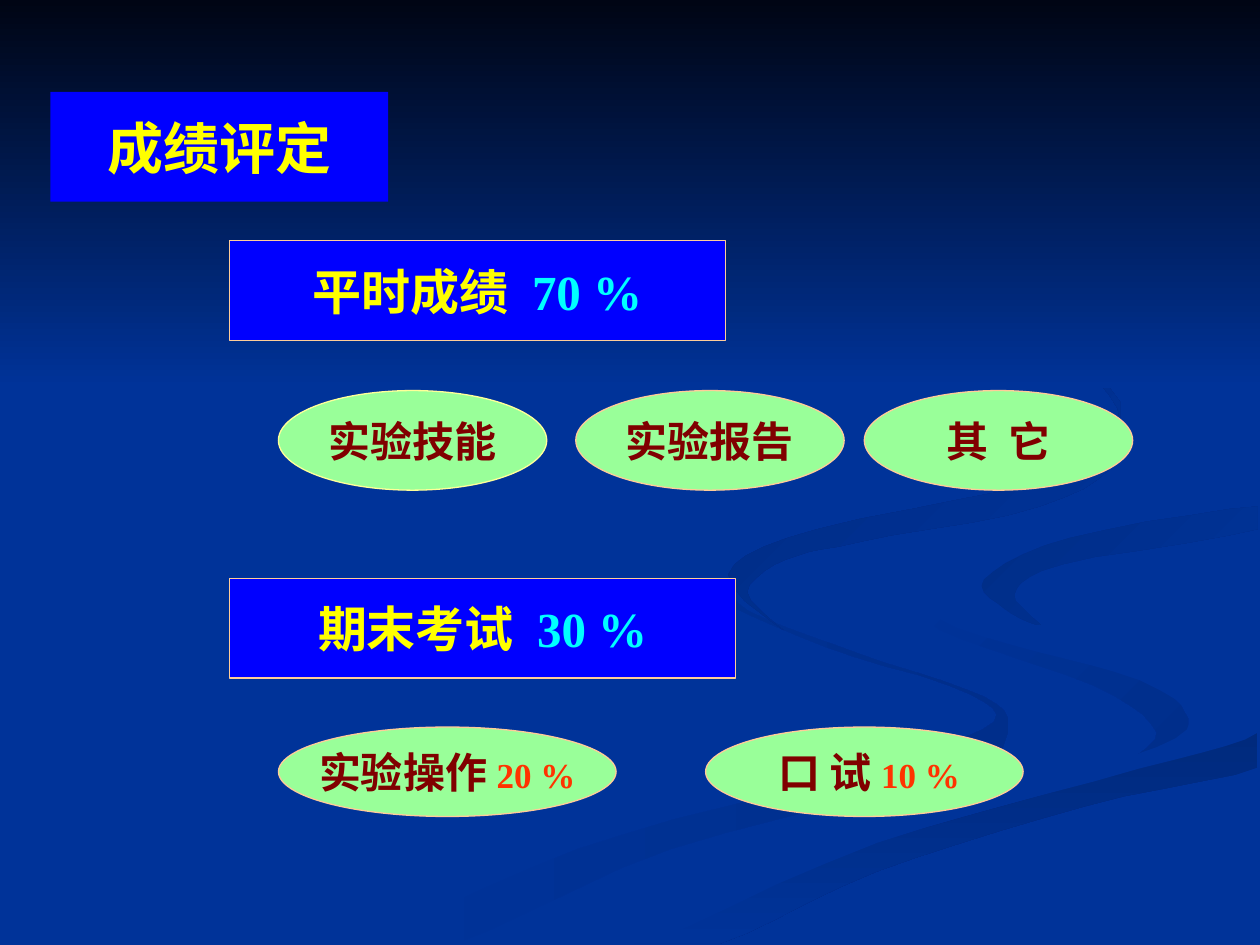
from dataclasses import dataclass

from pptx import Presentation
from pptx.dml.color import RGBColor as Rgb
from pptx.enum.shapes import MSO_SHAPE as Kind
from pptx.enum.text import MSO_ANCHOR as Anchor, PP_ALIGN as Align
from pptx.util import Inches, Pt

FONT = "Times New Roman"
STEPS = 5
HEX = {
    "back": "003399", "night": "000514", "box": "0000FF", "oval": "99FF99",
    "peach": "FFCC99", "cream": "FFFF99", "yellow": "FFFF00", "cyan": "00FFFF",
    "maroon": "800000", "red": "FF3300",
    "wave1": "002E8B", "wave2": "002A7D", "wave3": "002D86", "wave4": "002B82",
}


def color(name: str) -> Rgb:
    return Rgb.from_string(HEX[name])


@dataclass
class Wave:
    """A background outline; points are hundredths of an inch."""
    first: str
    last: str
    angle: int
    points: list[tuple[int, int]]
    curved: bool = True


@dataclass
class Run:
    text: str
    size: int
    tint: str
    wide: bool = False


@dataclass
class Label:
    kind: Kind
    left: float
    top: float
    width: float
    height: float
    fill: str
    edge: str | None
    runs: list[Run]


def blend(a: int, b: int, c: int, d: int, t: float) -> float:
    """Catmull-Rom value between b and c."""
    return b + t / 2 * (c - a + t * (2 * a - 5 * b + 4 * c - d + t * (3 * (b - c) + d - a)))


def smooth(points: list[tuple[int, int]]) -> list[tuple[float, float]]:
    """Round a closed outline, kept within the bounds of its points."""
    right, low = (max(axis) for axis in zip(*points))
    curve = []
    for i in range(len(points)):
        near = [points[(i + k) % len(points)] for k in (-1, 0, 1, 2)]
        for step in range(STEPS):
            x, y = (blend(*axis, step / STEPS) for axis in zip(*near))
            curve.append((min(x, right), min(y, low)))
    return curve


def draw_wave(slide, wave: Wave) -> None:
    start, *rest = smooth(wave.points) if wave.curved else wave.points
    pen = slide.shapes.build_freeform(*start, scale=Inches(0.01))
    pen.add_line_segments(rest, close=True)
    shape = pen.convert_to_shape()
    shape.shadow.inherit = False
    shape.line.fill.background()
    if wave.first == wave.last:
        shape.fill.solid()
        shape.fill.fore_color.rgb = color(wave.first)
        return
    shape.fill.gradient()
    shape.fill.gradient_angle = -wave.angle % 360
    for stop, name, place in zip(shape.fill.gradient_stops, (wave.first, wave.last), (0, 1)):
        stop.color.rgb = color(name)
        stop.position = place


def draw_label(slide, label: Label) -> None:
    shape = slide.shapes.add_shape(
        label.kind, Inches(label.left), Inches(label.top),
        Inches(label.width), Inches(label.height))
    shape.shadow.inherit = False
    shape.fill.solid()
    shape.fill.fore_color.rgb = color(label.fill)
    if label.edge:
        shape.line.color.rgb = color(label.edge)
        shape.line.width = Pt(0.75)
    else:
        shape.line.fill.background()
    frame = shape.text_frame
    frame.word_wrap = False
    frame.vertical_anchor = Anchor.MIDDLE
    para = frame.paragraphs[0]
    para.alignment = Align.CENTER
    para.font.name = FONT
    para.font.bold = True
    for item in label.runs:
        run = para.add_run()
        run.text = item.text
        run.font.size = Pt(item.size)
        run.font.color.rgb = color(item.tint)
        if item.wide:  # widen a single space to twice its width
            run.font._element.set("spc", str(item.size * 25))


def head(top: float, width: float, name: str, share: str) -> Label:
    runs = [Run(name, 28, "yellow"), Run(" ", 28, "yellow", True), Run(share, 28, "cyan")]
    return Label(Kind.RECTANGLE, 1.82, top, width, 0.79, "box", "peach", runs)


def skill(left: float, runs: list[Run], edge: str = "peach") -> Label:
    return Label(Kind.OVAL, left, 3.1, 2.13, 0.79, "oval", edge, runs)


def exam(left: float, width: float, name: str, share: str) -> Label:
    runs = [Run(name, 24, "maroon"), Run(share, 20, "red")]
    return Label(Kind.OVAL, left, 5.77, width, 0.71, "oval", "peach", runs)


# Background ribbons, back to front
WAVES = [
    Wave("back", "wave1", 0, [
        (781, 553), (682, 519), (594, 485), (575, 459), (572, 476), (654, 513),
        (770, 551), (780, 579), (652, 620), (458, 674), (300, 749), (361, 749),
        (532, 674), (756, 614), (800, 581)]),
    Wave("back", "wave1", 45, [
        (943, 570), (905, 540), (758, 498), (724, 464), (746, 500), (868, 544),
        (918, 581), (894, 605), (932, 589)]),
    Wave("wave2", "back", 90, [
        (503, 749), (571, 749), (695, 692), (861, 640), (998, 609), (998, 581),
        (867, 620), (696, 669), (569, 719)]),
    Wave("back", "back", 0, [
        (725, 464), (775, 503), (905, 540), (942, 579), (843, 618), (619, 684),
        (477, 749), (519, 747), (696, 669), (904, 610), (999, 581), (999, 538),
        (848, 503), (781, 463), (850, 427), (999, 402), (999, 387), (788, 422)]),
    Wave("wave3", "back", 45, [
        (781, 460), (797, 483), (826, 496), (805, 472), (843, 448), (998, 420),
        (998, 402), (849, 427)]),
    Wave("wave4", "back", 45, [
        (683, 430), (825, 402), (889, 362), (880, 307), (762, 233), (846, 279),
        (889, 335), (842, 378), (649, 420), (578, 456), (622, 500), (593, 470),
        (624, 444)]),
    Wave("night", "back", 90, [(0, 0), (0, 308), (1000, 308), (1000, 0)], False),
]

# Title, headings and their parts
LABELS = [
    Label(Kind.RECTANGLE, 0.4, 0.73, 2.68, 0.87, "box", None, [Run("成绩评定", 32, "yellow")]),
    head(1.91, 3.94, "平时成绩", "70 %"),
    head(4.59, 4.02, "期末考试", "30 %"),
    exam(5.6, 2.52, " 口 试 ", "10 %"),
    skill(4.57, [Run("实验报告", 24, "maroon")]),
    skill(6.86, [Run("其", 24, "maroon"), Run(" ", 24, "maroon", True), Run("它", 24, "maroon")]),
    skill(2.21, [Run("实验技能", 24, "maroon")], "cream"),
    exam(2.21, 2.68, "实验操作 ", "20 %"),
]


def main() -> None:
    deck = Presentation()
    deck.slide_width, deck.slide_height = Inches(10), Inches(7.5)
    slide = deck.slides.add_slide(deck.slide_layouts[6])
    slide.background.fill.solid()
    slide.background.fill.fore_color.rgb = color("back")
    for wave in WAVES:
        draw_wave(slide, wave)
    for label in LABELS:
        draw_label(slide, label)
    deck.save("out.pptx")


if __name__ == "__main__":
    main()
